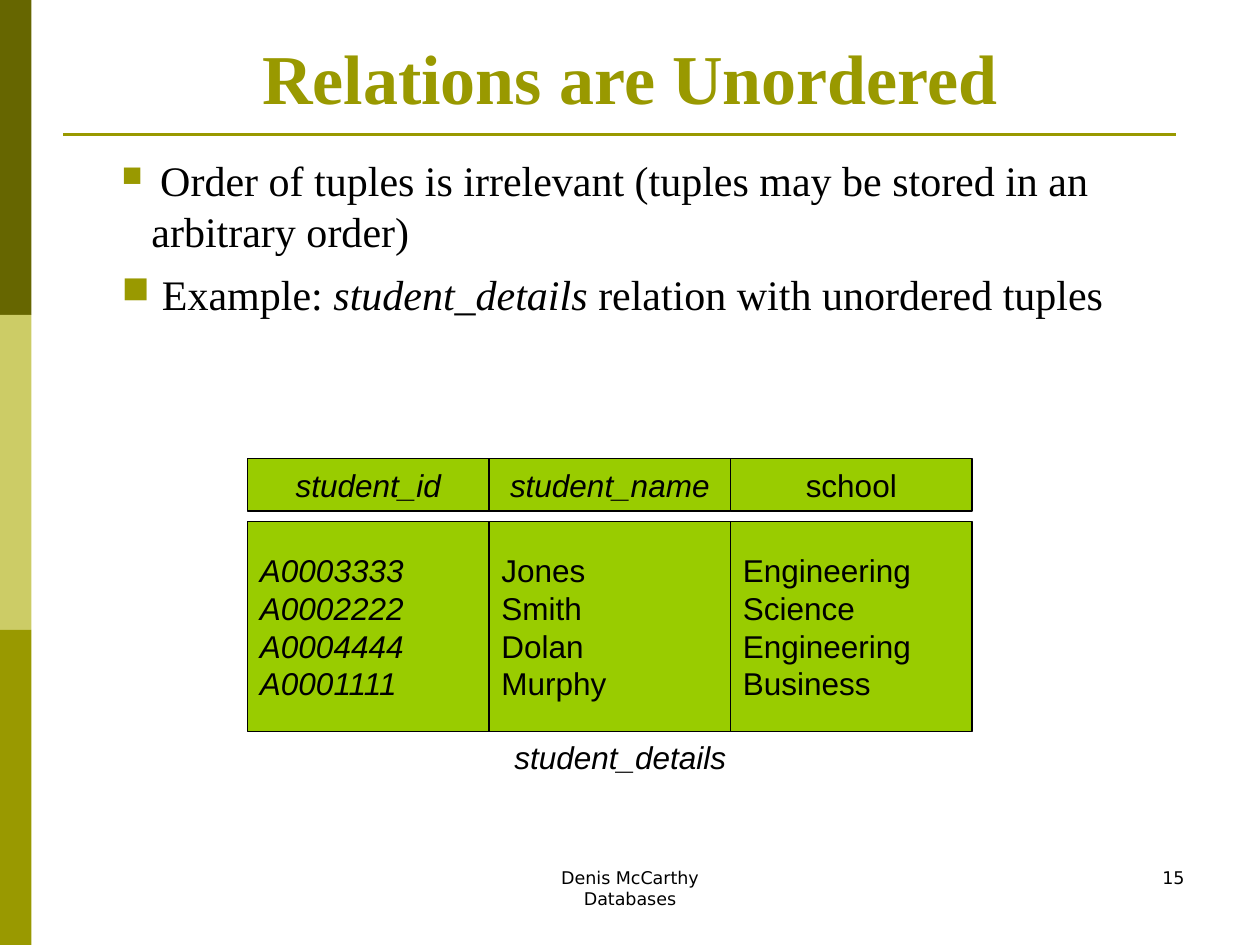
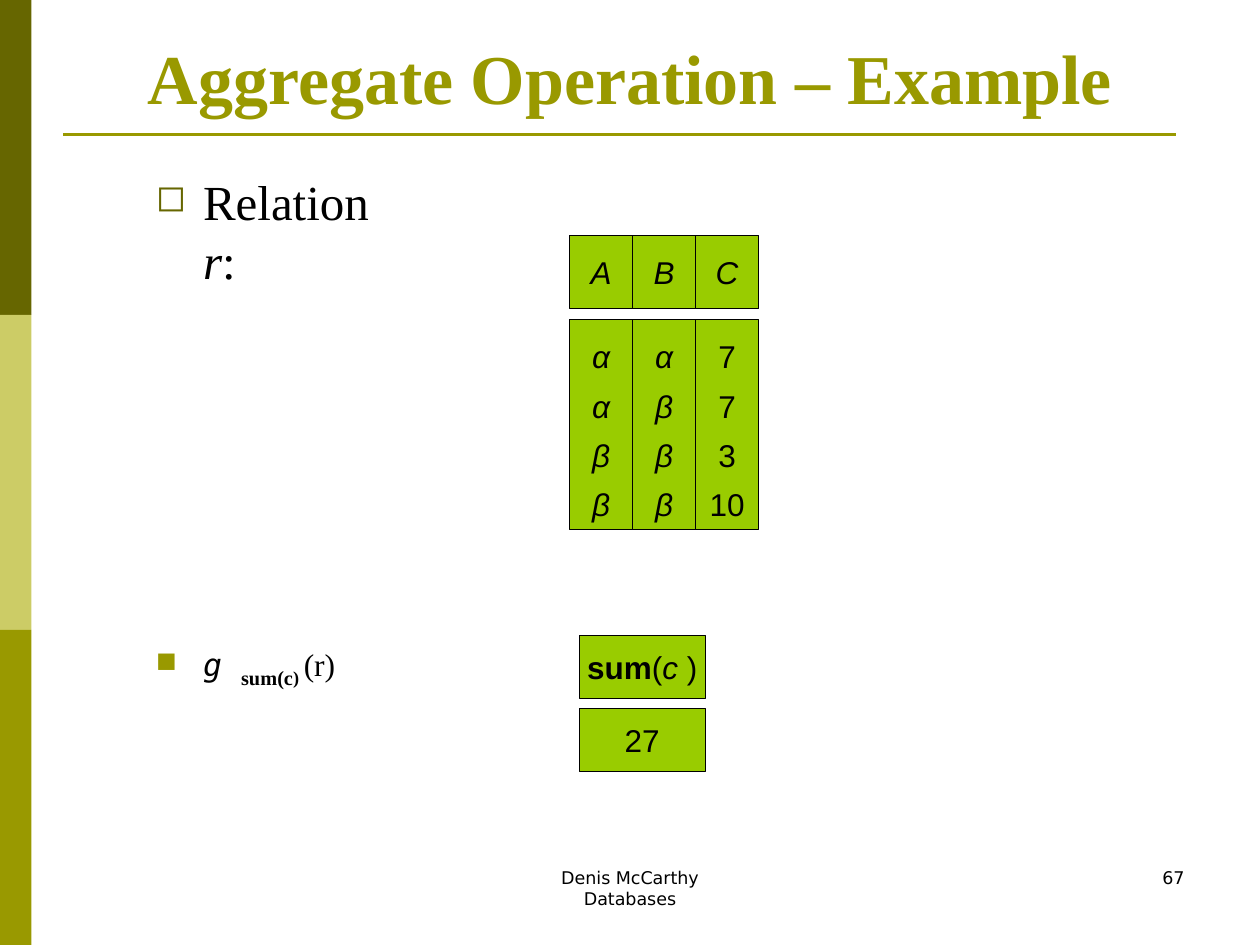
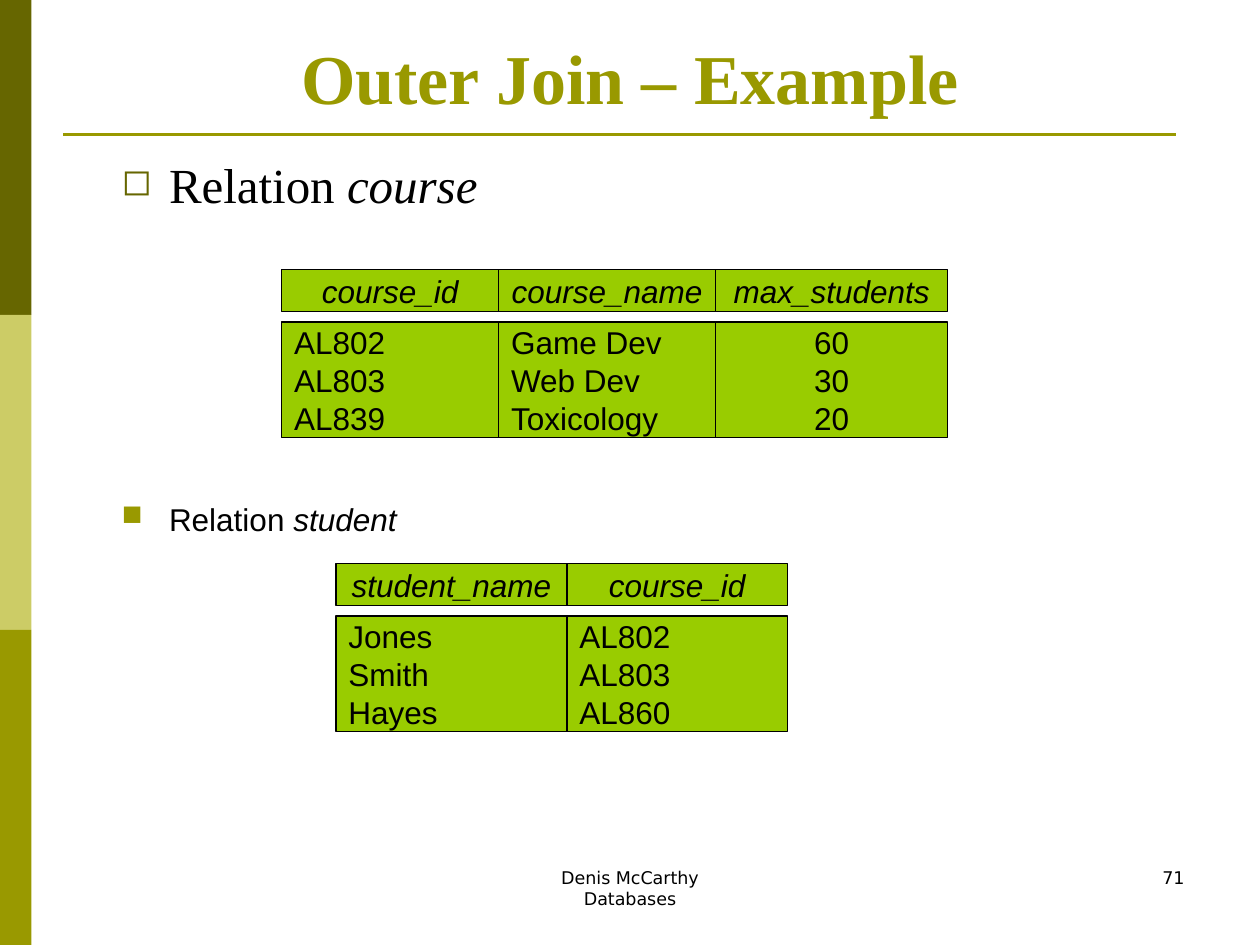
"""Build three database lecture slides on relations, aggregates and outer joins."""
from lxml import etree
from pptx import Presentation
from pptx.dml.color import RGBColor
from pptx.enum.shapes import MSO_CONNECTOR, MSO_SHAPE
from pptx.enum.text import MSO_ANCHOR, MSO_AUTO_SIZE, PP_ALIGN
from pptx.oxml.ns import qn
from pptx.util import Pt

LEFT, CENTER, RIGHT = PP_ALIGN.LEFT, PP_ALIGN.CENTER, PP_ALIGN.RIGHT
TOP, MIDDLE, BOTTOM = MSO_ANCHOR.TOP, MSO_ANCHOR.MIDDLE, MSO_ANCHOR.BOTTOM
RECTANGLE, STRAIGHT = MSO_SHAPE.RECTANGLE, MSO_CONNECTOR.STRAIGHT
NO_AUTOFIT = MSO_AUTO_SIZE.NONE

BLACK, OLIVE, DARK_OLIVE, LIGHT_OLIVE, LIME = "000000", "999900", "666600", "CCCC66", "99CC00"
BANDS = [DARK_OLIVE, LIGHT_OLIVE, OLIVE]
BAND_HEIGHT = 180
RELATION_GAP = 6

TITLE = {"name": "Times New Roman", "size": Pt(40), "bold": True, "color": OLIVE}
FOOTER = {"name": "DejaVu Sans", "size": Pt(10)}
CELL = {"name": "Arial", "size": Pt(18)}
TEXT = {"name": "Times New Roman", "size": Pt(24)}
LARGE = {**TEXT, "size": Pt(28)}
SMALL = {**TEXT, "size": Pt(18)}
OPERATOR = {"name": "DejaVu Sans Mono", "size": Pt(18), "italic": True}
SUBSCRIPT = {**TEXT, "size": Pt(20), "bold": True, "baseline": -25000}
PLAIN, ITALIC, BOLD = {}, {"italic": True}, {"bold": True}

SOLID = {"character": "■", "color": OLIVE, "percent": 90, "indent": 27}
SOLID_NARROW = {**SOLID, "indent": 17}
HOLLOW = {"character": "◻", "color": DARK_OLIVE, "percent": 75, "indent": 27}

SLIDES = [
    {
        "title": "Relations are Unordered",
        "number": "15",
        "texts": [
            ((62.5, 85, 609, 104), TEXT, {"bullet": SOLID_NARROW, "space_before": Pt(7.5)}, [
                [(" ", CELL),
                 ("Order of tuples is irrelevant (tuples may be stored in an arbitrary order)", PLAIN)],
                [(" Example: ", PLAIN), ("student_details ", ITALIC),
                 ("relation with unordered tuples", PLAIN)],
            ]),
            ((286, 418, 137, 29), CELL, {"alignment": CENTER}, [[("student_details", ITALIC)]]),
        ],
        "relations": [
            {"left": 141.5, "top": 262, "head": 30, "body": 120, "spacing": 1, "columns": [
                (138, [("student_id", ITALIC)], LEFT, ITALIC,
                 ["A0003333", "A0002222", "A0004444", "A0001111"]),
                (138, [("student_name", ITALIC)], LEFT, PLAIN,
                 ["Jones", "Smith", "Dolan", "Murphy"]),
                (138, [("school", PLAIN)], LEFT, PLAIN,
                 ["Engineering", "Science", "Engineering", "Business"]),
            ]},
        ],
    },
    {
        "title": "Aggregate Operation – Example",
        "number": "67",
        "texts": [
            ((82, 94.5, 139, 47), LARGE, {"bullet": HOLLOW},
             [[("Relation ", PLAIN), ("r", ITALIC), (":", PLAIN)]]),
            ((82, 363, 158.5, 44), SMALL, {"bullet": SOLID},
             [[("g ", OPERATOR), ("sum(c", SUBSCRIPT),
               (") ", {**SUBSCRIPT, "size": Pt(18)}), ("(r)", PLAIN)]]),
        ],
        "relations": [
            {"left": 325.5, "top": 134.5, "head": 42, "body": 120, "spacing": 1.3, "columns": [
                (36, [("A", ITALIC)], CENTER, ITALIC, ["α", "α", "β", "β"]),
                (36, [("B", ITALIC)], CENTER, ITALIC, ["α", "β", "β", "β"]),
                (36, [("C", ITALIC)], CENTER, PLAIN, ["7", "7", "3", "10"]),
            ]},
            {"left": 331, "top": 363, "head": 36, "body": 36, "spacing": 1, "columns": [
                (72, [("sum", BOLD), ("(", PLAIN), ("c ", ITALIC), (")", PLAIN)],
                 CENTER, PLAIN, ["27"]),
            ]},
        ],
    },
    {
        "title": "Outer Join – Example",
        "number": "71",
        "texts": [
            ((62.5, 85, 540, 38), LARGE, {"bullet": HOLLOW},
             [[("Relation ", PLAIN), ("course", ITALIC)]]),
            ((62.5, 282, 554, 38), CELL, {"bullet": SOLID},
             [[("Relation ", PLAIN), ("student", ITALIC)]]),
        ],
        "relations": [
            {"left": 161, "top": 154, "head": 24, "body": 66, "spacing": 1, "columns": [
                (124, [("course_id", ITALIC)], LEFT, PLAIN, ["AL802", "AL803", "AL839"]),
                (124, [("course_name", ITALIC)], LEFT, PLAIN,
                 ["Game Dev", "Web Dev", "Toxicology"]),
                (132.5, [("max_students", ITALIC)], CENTER, PLAIN, ["60", "30", "20"]),
            ]},
            {"left": 192, "top": 322, "head": 24, "body": 66, "spacing": 1, "columns": [
                (132, [("student_name", ITALIC)], LEFT, PLAIN, ["Jones", "Smith", "Hayes"]),
                (126, [("course_id", ITALIC)], LEFT, PLAIN, ["AL802", "AL803", "AL860"]),
            ]},
        ],
    },
]


def paint(target, color):
    """Give a fill or a font a solid colour from a hex string."""
    if hasattr(target, "solid"):
        target.solid()
    area = target.fore_color if hasattr(target, "fore_color") else target.color
    area.rgb = RGBColor.from_string(color)


def write(shape, paragraphs, font, layout, anchor=TOP, wrap=True):
    """Fill a shape with paragraphs, each a list of (text, font changes)."""
    frame = shape.text_frame
    frame.auto_size, frame.word_wrap, frame.vertical_anchor = NO_AUTOFIT, wrap, anchor
    for index, spans in enumerate(paragraphs):
        para = frame.add_paragraph() if index else frame.paragraphs[0]
        for key, value in layout.items():
            if key == "bullet":
                properties = para._p.get_or_add_pPr()
                properties.set("marL", str(Pt(value["indent"])))
                properties.set("indent", str(-Pt(value["indent"])))
                tint = etree.SubElement(properties, qn("a:buClr"))
                etree.SubElement(tint, qn("a:srgbClr"), val=value["color"])
                etree.SubElement(properties, qn("a:buSzPct"), val=str(value["percent"] * 1000))
                etree.SubElement(properties, qn("a:buChar"), char=value["character"])
            elif key != "space_before" or index:
                setattr(para, key, value)
        for text, changes in spans:
            span = para.add_run()
            span.text = text
            for key, value in {"color": BLACK, **font, **changes}.items():
                if key == "color":
                    paint(span.font, value)
                elif key == "baseline":
                    span._r.get_or_add_rPr().set("baseline", str(value))
                else:
                    setattr(span.font, key, value)


deck = Presentation()
deck.slide_width, deck.slide_height = Pt(720), Pt(540)

for content in SLIDES:
    page = deck.slides.add_slide(deck.slide_layouts[5])
    shapes = page.shapes

    for row, color in enumerate(BANDS):
        band = shapes.add_shape(RECTANGLE, 0, Pt(row * BAND_HEIGHT), Pt(18), Pt(BAND_HEIGHT))
        band.shadow.inherit = False
        band.line.fill.background()
        paint(band.fill, color)

    rule = shapes.add_connector(STRAIGHT, Pt(36), Pt(77), Pt(672), Pt(77))
    rule.line.width = Pt(1.5)
    paint(rule.line.fill, OLIVE)
    etree.SubElement(rule._element.spPr, qn("a:effectLst"))

    title = shapes.title
    title.left, title.top, title.width, title.height = Pt(36), Pt(21.5), Pt(648), Pt(50)
    write(title, [[(content["title"], PLAIN)]], TITLE, {"alignment": CENTER}, BOTTOM)

    footers = [
        ((246, 492, 228, 36), FOOTER, {"alignment": CENTER},
         [[("Denis McCarthy", PLAIN)], [("Databases", PLAIN)]]),
        ((516, 492, 168, 36), FOOTER, {"alignment": RIGHT}, [[(content["number"], PLAIN)]]),
    ]
    for place, font, layout, paragraphs in content["texts"] + footers:
        box = shapes.add_textbox(*map(Pt, place))
        write(box, paragraphs, font, layout)

    for relation in content["relations"]:
        left = relation["left"]
        body_top = relation["top"] + relation["head"] + RELATION_GAP
        for width, heading, alignment, style, values in relation["columns"]:
            cells = [
                (relation["top"], relation["head"], [heading], {"alignment": CENTER}),
                (body_top, relation["body"], [[(value, style)] for value in values],
                 {"alignment": alignment, "line_spacing": relation["spacing"]}),
            ]
            for top, height, paragraphs, layout in cells:
                cell = shapes.add_shape(RECTANGLE, Pt(left), Pt(top), Pt(width), Pt(height))
                cell.shadow.inherit = False
                cell.line.width = Pt(0.75)
                paint(cell.fill, LIME)
                paint(cell.line.fill, BLACK)
                write(cell, paragraphs, CELL, layout, MIDDLE, wrap=False)
            left += width

deck.save("out.pptx")
